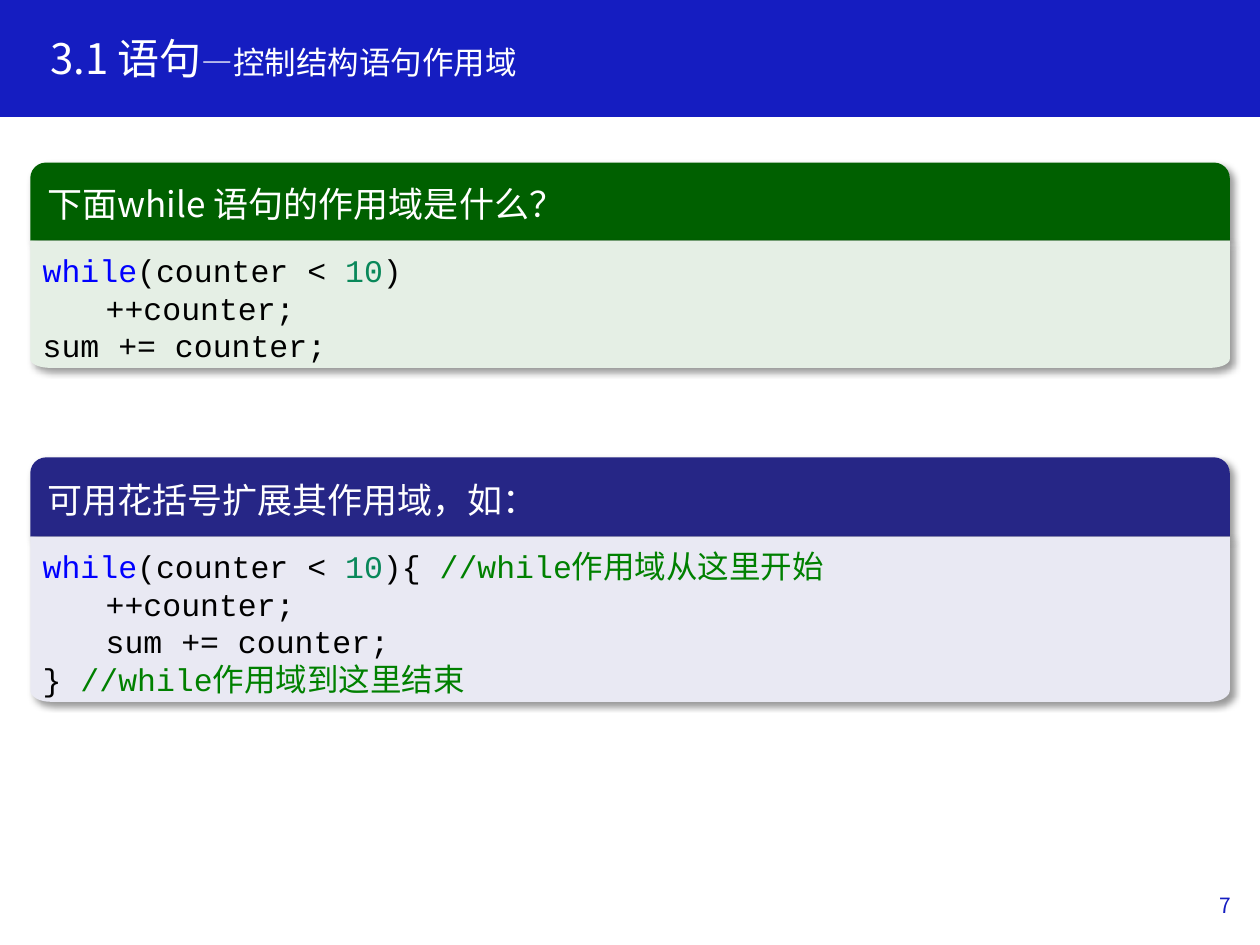
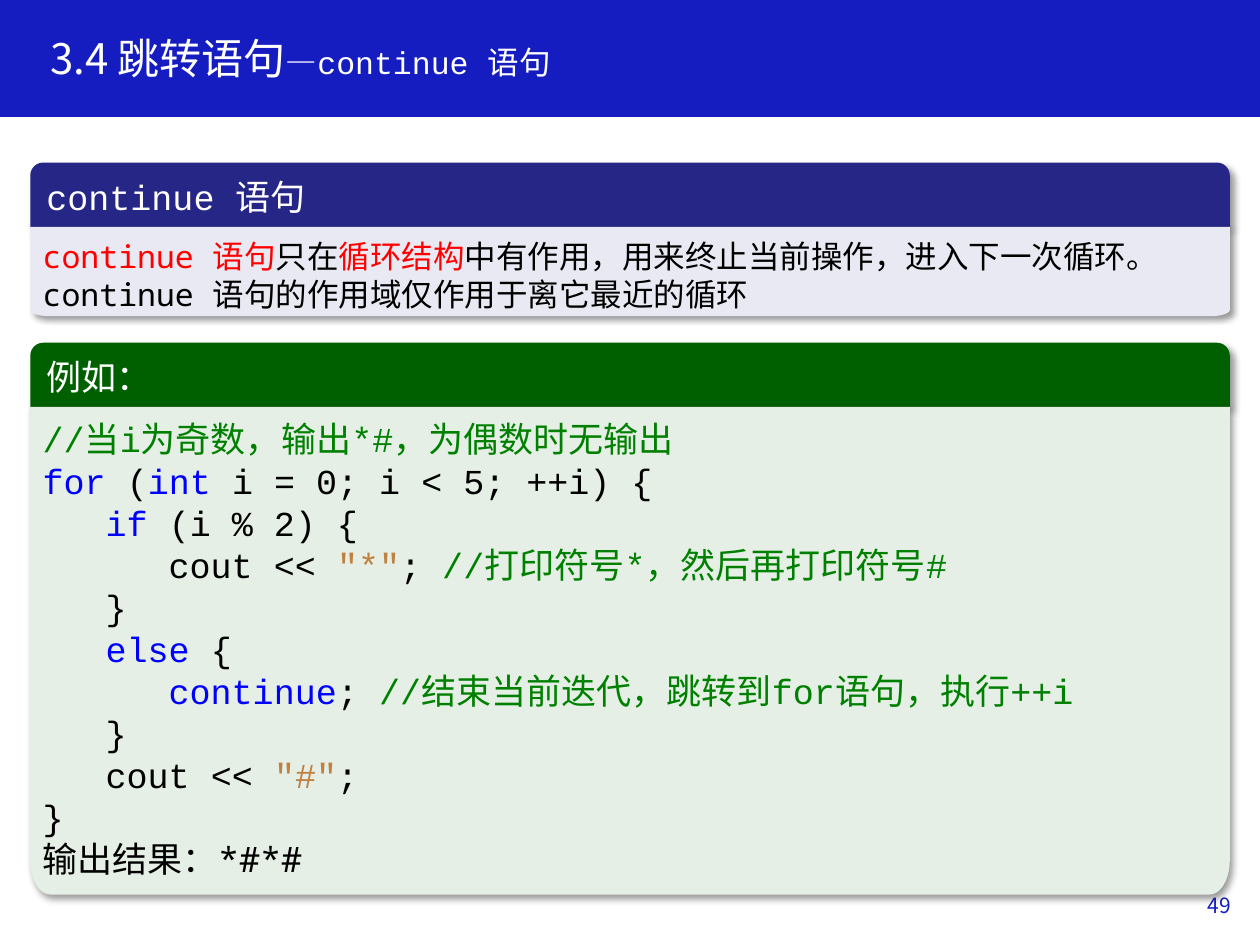
import math

from lxml import etree
from pptx import Presentation
from pptx.dml.color import RGBColor
from pptx.enum.shapes import MSO_SHAPE
from pptx.enum.text import MSO_ANCHOR, PP_ALIGN
from pptx.oxml.ns import qn
from pptx.util import Inches, Pt

RECTANGLE = MSO_SHAPE.RECTANGLE
ROUND_TOP = MSO_SHAPE.ROUND_2_SAME_RECTANGLE
TOP, MIDDLE = MSO_ANCHOR.TOP, MSO_ANCHOR.MIDDLE
LEFT, RIGHT = PP_ALIGN.LEFT, PP_ALIGN.RIGHT

# Fonts and colours
SANS = "Noto Sans CJK SC"
MONO = "Noto Sans Mono"
CODE = "Courier New"
BAND, WHITE, BLACK, RED = "151DC1", "FFFFFF", "000000", "FF0000"
KEYWORD, NUMBER, STRING, COMMENT = "0000FF", "09885A", "C08040", "008000"
GREEN = ("006000", "E5EFE5")
BLUE = ("262686", "E9E9F3")

# Panel geometry in inches
PANEL_LEFT, PANEL_WIDTH = 0.24, 9.52
CORNER_WIDTH, CORNER_SHARE = 0.16, 0.07
INDENT = 0.5


def color(hex_string):
    return RGBColor.from_string(hex_string)


def paint(shape, fill, line=None):
    shape.fill.solid()
    shape.fill.fore_color.rgb = color(fill)
    if line:
        shape.line.color.rgb = color(line)
        shape.line.width = Pt(1)
    else:
        shape.line.fill.background()
    shape.shadow.inherit = False


def add_shadow(shape):
    effects = shape._element.spPr.find(qn("a:effectLst"))
    shadow = etree.SubElement(
        effects, qn("a:outerShdw"), blurRad=str(Pt(4)), dist=str(Pt(3)),
        dir=str(45 * 60000), algn="tl", rotWithShape="0")
    black = etree.SubElement(shadow, qn("a:srgbClr"), val=BLACK)
    etree.SubElement(black, qn("a:alpha"), val="40000")


def write_text(shape, paragraphs, size=18, font=SANS, ink=BLACK, align=LEFT,
               anchor=MIDDLE, spacing=None, top_inset=0.05):
    """Each paragraph is (level, runs); a run is text plus own format."""
    frame = shape.text_frame
    frame.word_wrap = True
    frame.vertical_anchor = anchor
    frame.margin_top = Inches(top_inset)
    for index, (level, runs) in enumerate(paragraphs):
        paragraph = frame.paragraphs[0] if index == 0 else frame.add_paragraph()
        paragraph.alignment = align
        if spacing:
            paragraph.line_spacing = spacing
        if level:
            properties = paragraph._p.get_or_add_pPr()
            properties.set("marL", str(Inches(INDENT * level)))
            properties.set("indent", "0")
        for text, own in runs:
            run = paragraph.add_run()
            run.text = text
            run.font.size = Pt(own.get("size", size))
            run.font.color.rgb = color(own.get("ink", ink))
            run.font.name = own.get("font", font)
            etree.SubElement(run._r.get_or_add_rPr(), qn("a:ea"), typeface=SANS)


def run(text, **own):
    return text, own


def line(*runs, level=0):
    return level, runs


def keyword(text):
    return run(text, ink=KEYWORD)


def comment(text):
    return run(text, ink=COMMENT)


def add_text_box(slide, left, top, width, height, paragraphs, **text_format):
    box = slide.shapes.add_textbox(
        Inches(left), Inches(top), Inches(width), Inches(height))
    write_text(box, paragraphs, **text_format)


def add_frame(presentation, title_runs, number):
    """Blank slide with title band, title and page number."""
    slide = presentation.slides.add_slide(presentation.slide_layouts[6])
    band = slide.shapes.add_shape(RECTANGLE, 0, 0, Inches(10), Inches(0.92))
    paint(band, BAND, line=BAND)
    add_text_box(slide, 0.3, 0.23, 5.74, 0.51, [line(*title_runs)],
                 ink=WHITE, spacing=0.9)
    add_text_box(slide, 7.62, 6.98, 2.25, 0.4, [line(run(str(number)))],
                 size=12, ink=BAND, align=RIGHT)
    return slide


def add_panel_body(slide, top, height, fill):
    """Square top corners, elliptical bottom corners."""
    right, bottom = PANEL_LEFT + PANEL_WIDTH, top + height
    corner_height = height * CORNER_SHARE
    steps = 10
    arc = [(CORNER_WIDTH * (1 - math.cos(angle)),
            bottom - corner_height * (1 - math.sin(angle)))
           for angle in (step * math.pi / 2 / steps for step in range(steps + 1))]
    points = [(right, top)]
    points += [(right - x, y) for x, y in arc]
    points += [(PANEL_LEFT + x, y) for x, y in reversed(arc)]
    builder = slide.shapes.build_freeform(
        Inches(PANEL_LEFT), Inches(top), scale=1.0)
    builder.add_line_segments([(Inches(x), Inches(y)) for x, y in points])
    body = builder.convert_to_shape()
    paint(body, fill)
    add_shadow(body)
    return body


def add_panel(slide, top, head_height, body_height, colors, heading, paragraphs,
              size=18, font=CODE):
    head_fill, body_fill = colors
    head = slide.shapes.add_shape(
        ROUND_TOP, Inches(PANEL_LEFT), Inches(top),
        Inches(PANEL_WIDTH), Inches(head_height))
    head.adjustments[0] = 0.2
    paint(head, head_fill)
    add_shadow(head)
    write_text(head, [line(heading)], size=20, ink=WHITE)
    body = add_panel_body(slide, top + head_height, body_height, body_fill)
    write_text(body, paragraphs, size=size, font=font, anchor=TOP,
               spacing=Pt(1.2 * size), top_inset=0.08)


def add_scope_slide(presentation):
    slide = add_frame(presentation, [
        run("3.1 语句", size=24), run("—控制结构语句作用域")], 7)
    condition = [keyword("while"), run("(counter < "), run("10", ink=NUMBER)]
    add_panel(slide, 1.29, 0.62, 1.01, GREEN, run("下面while 语句的作用域是什么？"), [
        line(*condition, run(")")),
        line(run("++counter;"), level=1),
        line(run("sum += counter;")),
    ])
    add_panel(slide, 3.63, 0.63, 1.31, BLUE, run("可用花括号扩展其作用域，如："), [
        line(*condition, run("){ "), comment("//while作用域从这里开始")),
        line(run("++counter;"), level=1),
        line(run("sum += counter;"), level=1),
        line(run("} "), comment("//while作用域到这里结束")),
    ])


def add_continue_slide(presentation):
    slide = add_frame(presentation, [
        run("3.4 跳转语句", size=24), run("—"),
        run("continue 语句", font=CODE)], 49)
    # Example code
    add_panel(slide, 2.72, 0.51, 3.87, GREEN, run("例如："), [
        line(comment("//当i为奇数，输出*#，为偶数时无输出")),
        line(keyword("for "), run("("), keyword("int "),
             run("i = 0; i < 5; ++i) {")),
        line(keyword("if "), run("(i % 2) {"), level=1),
        line(run("cout << "), run('"*"', ink=STRING), run("; "),
             comment("//打印符号*，然后再打印符号#"), level=2),
        line(run("}"), level=1),
        line(keyword("else "), run("{"), level=1),
        line(keyword("continue"), run("; "),
             comment("//结束当前迭代，跳转到for语句，执行++i"), level=2),
        line(run("}"), level=1),
        line(run("cout << "), run('"#"', ink=STRING), run(";"), level=1),
        line(run("}")),
        line(run("输出结果：", font=SANS), run("*#*#", font=MONO)),
    ], size=20)
    # Definition
    add_panel(slide, 1.29, 0.51, 0.71, BLUE, run("continue 语句", font=CODE), [
        line(run("continue 语句", ink=RED), run("只在"),
             run("循环结构", ink=RED),
             run("中有作用，用来终止当前操作，进入下一次循环。"),
             run("continue 语句的作用域仅作用于离它最近的循环")),
    ], font=MONO)


def main():
    presentation = Presentation()
    presentation.slide_width = Inches(10)
    presentation.slide_height = Inches(7.5)
    add_scope_slide(presentation)
    add_continue_slide(presentation)
    presentation.save("out.pptx")


if __name__ == "__main__":
    main()
